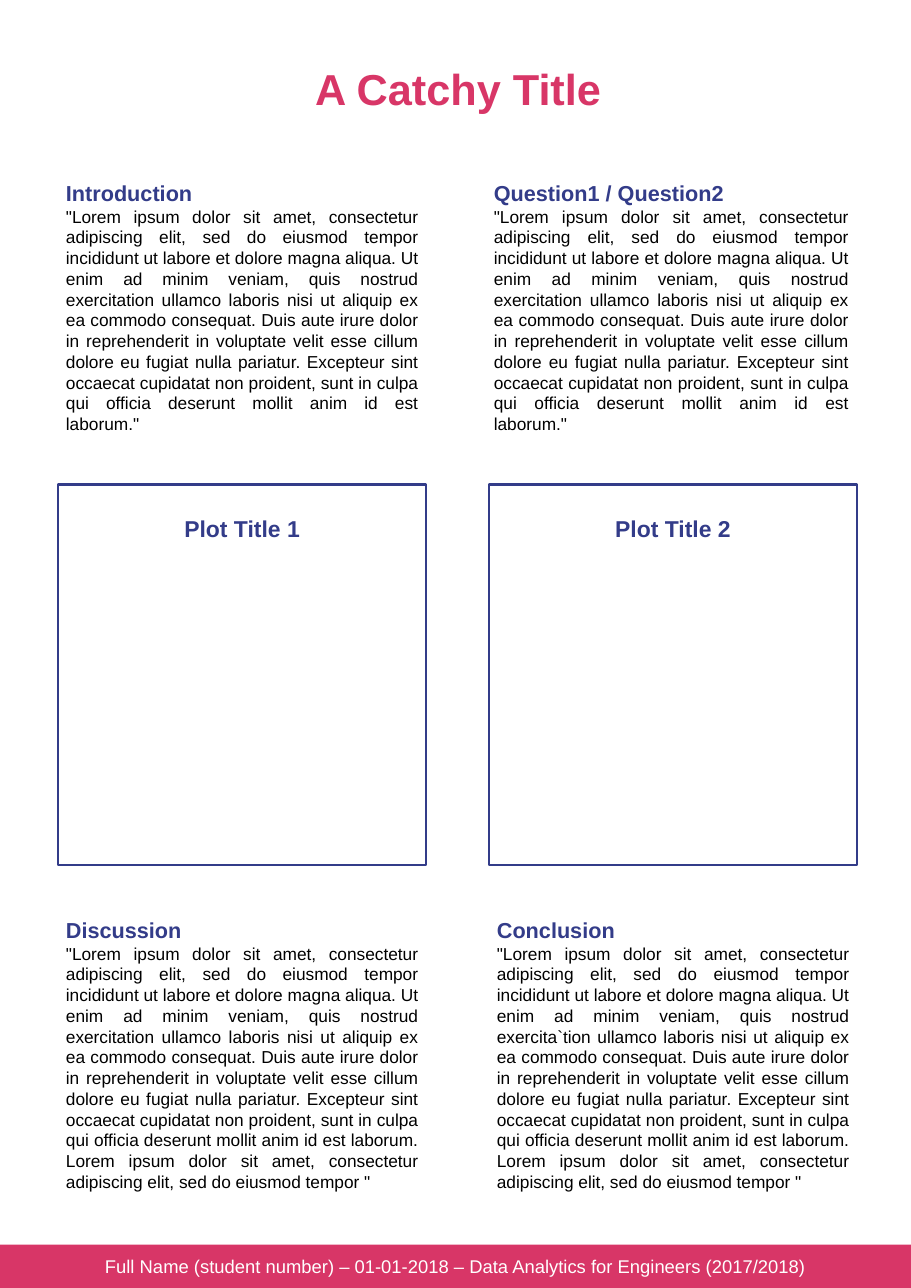
from pptx import Presentation
from pptx.dml.color import RGBColor
from pptx.enum.shapes import MSO_SHAPE
from pptx.enum.text import MSO_ANCHOR, MSO_AUTO_SIZE, PP_ALIGN
from pptx.util import Cm, Pt

COLORS = {"pink": "D83667", "blue": "333C89", "black": "000000", "white": "FFFFFF"}
LEFT, RIGHT, COL_W = 1.9, 15.95, 11.99

LOREM = (
    "Lorem ipsum dolor sit amet, consectetur adipiscing elit, sed do eiusmod tempor "
    "incididunt ut labore et dolore magna aliqua. Ut enim ad minim veniam, quis nostrud "
    "exercitation ullamco laboris nisi ut aliquip ex ea commodo consequat. Duis aute "
    "irure dolor in reprehenderit in voluptate velit esse cillum dolore eu fugiat nulla "
    "pariatur. Excepteur sint occaecat cupidatat non proident, sunt in culpa qui officia "
    "deserunt mollit anim id est laborum."
)
SHORT = f'"{LOREM}"'
LONG = (f'"{LOREM} Lorem ipsum dolor sit amet, consectetur adipiscing elit, '
        'sed do eiusmod tempor "')


def add_run(p, text, size, color, bold=False, align=PP_ALIGN.LEFT):
    p.alignment = align
    r = p.add_run()
    r.text = text
    r.font.name = "Arial"
    r.font.size = Pt(size)
    r.font.bold = bold
    r.font.color.rgb = RGBColor.from_string(COLORS[color])


def add_box(left, top, width, height):
    sp = s.shapes.add_shape(MSO_SHAPE.RECTANGLE, Cm(left), Cm(top), Cm(width), Cm(height))
    sp.shadow.inherit = False
    return sp


prs = Presentation()
prs.slide_width, prs.slide_height = Cm(29.7), Cm(42)
s = prs.slides.add_slide(prs.slide_layouts[5])

# Title
title = s.shapes.title
title.left, title.top, title.width, title.height = Cm(1.37), Cm(2.03), Cm(27.13), Cm(1.88)
tf = title.text_frame
tf.auto_size = MSO_AUTO_SIZE.NONE
tf.vertical_anchor = MSO_ANCHOR.MIDDLE
p = tf.paragraphs[0]
p.line_spacing = 0.9
add_run(p, "A Catchy Title", 40, "pink", True, PP_ALIGN.CENTER)

# Text sections
sections = [
    ("Introduction", SHORT, LEFT, 5.74, COL_W, 8.64),
    ("Question1 / Question2", SHORT, 15.85, 5.74, 12.07, 8.64),
    ("Discussion", LONG, LEFT, 29.77, COL_W, 10),
    ("Conclusion", LONG.replace("exercitation", "exercita`tion"), RIGHT, 29.77, COL_W, 10),
]
for heading, body, left, top, width, height in sections:
    tb = s.shapes.add_textbox(Cm(left), Cm(top), Cm(width), Cm(height))
    tf = tb.text_frame
    tf.word_wrap = True
    tf.auto_size = MSO_AUTO_SIZE.SHAPE_TO_FIT_TEXT
    add_run(tf.paragraphs[0], heading, 20, "blue", True)
    add_run(tf.add_paragraph(), body, 16, "black", align=PP_ALIGN.JUSTIFY)

# Plot frames
for number, left in enumerate((LEFT, RIGHT), 1):
    frame = add_box(left, 15.8, COL_W, 12.4)
    frame.fill.background()
    frame.line.color.rgb = RGBColor.from_string(COLORS["blue"])
    frame.line.width = Pt(2.25)
    tf = frame.text_frame
    tf.vertical_anchor = MSO_ANCHOR.TOP
    tf.margin_top = Cm(0.99)
    add_run(tf.paragraphs[0], f"Plot Title {number}", 21.2, "blue", True, PP_ALIGN.CENTER)

# Footer bar
footer = add_box(0, 40.59, 29.7, 1.41)
footer.fill.solid()
footer.fill.fore_color.rgb = RGBColor.from_string(COLORS["pink"])
footer.line.fill.background()
tf = footer.text_frame
tf.vertical_anchor = MSO_ANCHOR.MIDDLE
add_run(tf.paragraphs[0],
        "Full Name (student number) – 01-01-2018 – Data Analytics for Engineers (2017/2018)",
        17, "white", align=PP_ALIGN.CENTER)

prs.save("out.pptx")
